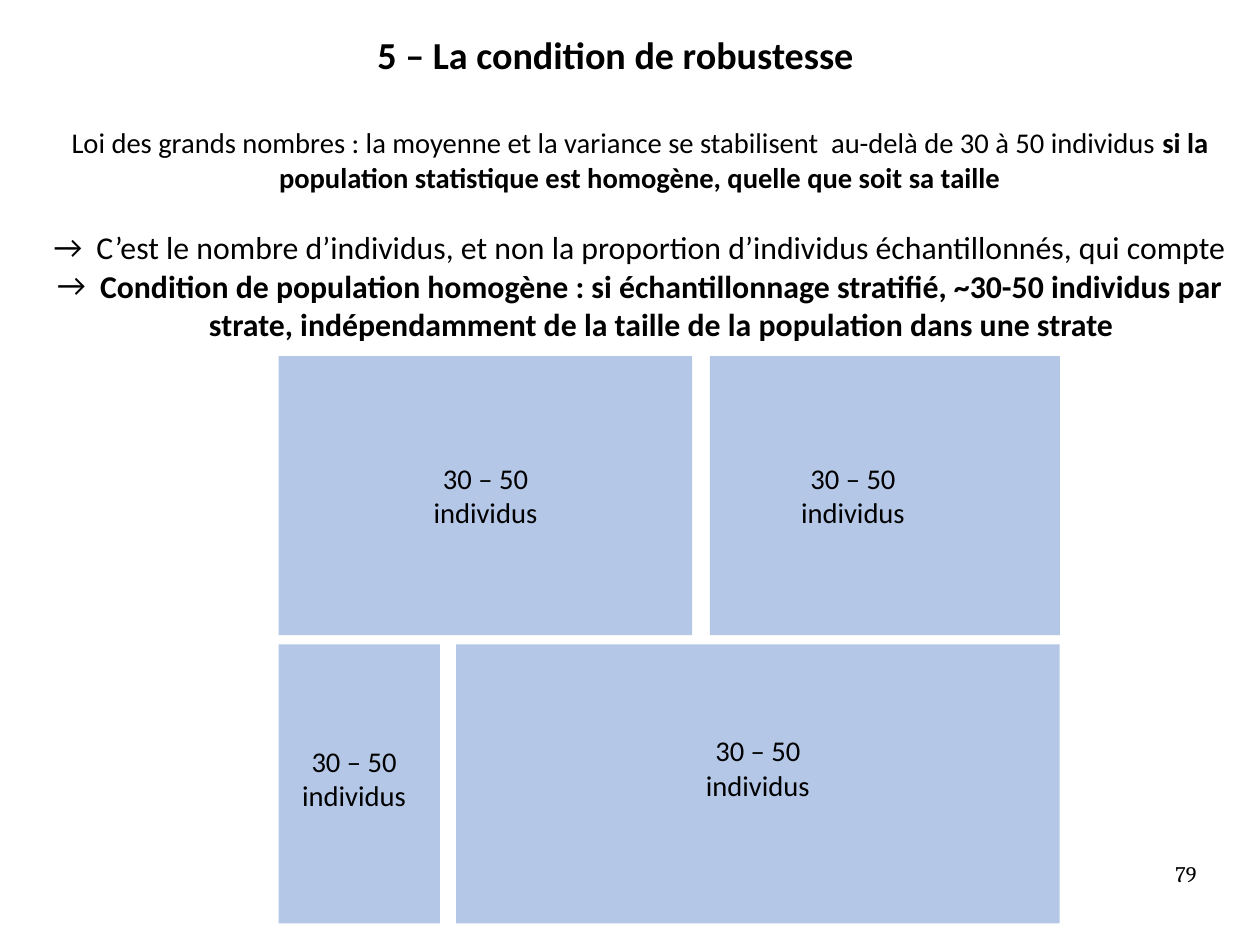
from dataclasses import dataclass

from lxml.etree import SubElement
from pptx import Presentation
from pptx.dml.color import RGBColor
from pptx.enum.shapes import MSO_SHAPE
from pptx.enum.text import PP_ALIGN
from pptx.oxml.ns import qn
from pptx.util import Pt


@dataclass(frozen=True)
class Theme:
    ink: RGBColor = RGBColor(0x00, 0x00, 0x00)
    stratum: RGBColor = RGBColor(0xB4, 0xC7, 0xE7)
    body_font: str = "Calibri"
    number_font: str = "Cambria"
    title_size: float = 24
    point_size: float = 20
    body_size: float = 18
    number_size: float = 14


THEME = Theme()

# Page of 28 by 21 centimetres, in points
POINTS_PER_CM = 72 / 2.54
PAGE_WIDTH, PAGE_HEIGHT = 28 * POINTS_PER_CM, 21 * POINTS_PER_CM

# Strata grid: two rows sharing the same left and right edges
GRID_LEFT, GRID_RIGHT, GRID_TOP = 175.5, 667.6, 224.4
ROW_HEIGHT, ROW_GAP = 175.7, 5.9
LABEL = "30 – 50 individus"
LABEL_WIDTH, LABEL_HEIGHT = 128.2, 51
# Each row: end of first stratum, start of second, (left, top) of both labels
ROWS = [
    (436.1, 447.1, (241.7, 286.6), (473.2, 286.6)),
    (277.2, 287.3, (158.9, 464.9), (413.3, 458.4)),
]


def add_box(page, left, top, width, height, margins=(7.2, 3.6)):
    box = page.shapes.add_textbox(Pt(left), Pt(top), Pt(width), Pt(height))
    frame = box.text_frame
    frame.word_wrap = True
    frame.margin_left = frame.margin_right = Pt(margins[0])
    frame.margin_top = frame.margin_bottom = Pt(margins[1])
    return frame


def add_text(para, text, size=THEME.body_size, bold=False,
             font=THEME.body_font, align=PP_ALIGN.CENTER):
    para.alignment = align
    span = para.add_run()
    span.text = text
    span.font.name = font
    span.font.size = Pt(size)
    span.font.bold = bold
    span.font.color.rgb = THEME.ink


def add_arrow_point(frame, text, bold=False, space_before=0):
    para = frame.add_paragraph()
    properties = para._p.get_or_add_pPr()
    properties.set("marL", str(Pt(27)))
    properties.set("indent", str(-Pt(27)))
    SubElement(properties, qn("a:buFont")).set("typeface", THEME.body_font)
    SubElement(properties, qn("a:buChar")).set("char", "→")
    para.space_before = Pt(space_before)
    add_text(para, text, size=THEME.point_size, bold=bold)


def add_stratum(page, left, right, top):
    stratum = page.shapes.add_shape(
        MSO_SHAPE.RECTANGLE, Pt(left), Pt(top), Pt(right - left), Pt(ROW_HEIGHT))
    stratum.shadow.inherit = False
    stratum.fill.solid()
    stratum.fill.fore_color.rgb = THEME.stratum
    stratum.line.fill.background()


def main():
    deck = Presentation()
    deck.slide_width, deck.slide_height = Pt(PAGE_WIDTH), Pt(PAGE_HEIGHT)
    page = deck.slides.add_slide(deck.slide_layouts[6])

    # Title
    title = add_box(page, 60.5, 16.3, 654.5, 36)
    add_text(title.paragraphs[0], "5 – La condition de robustesse",
             size=THEME.title_size, bold=True)

    # Law of large numbers and its consequences
    body = add_box(page, 12.6, 75.4, 781, 145.4)
    law = body.paragraphs[0]
    add_text(law, "Loi des grands nombres : la moyenne et la variance se "
                  "stabilisent  au-delà de 30 à 50 individus ")
    add_text(law, "si la population statistique est homogène, "
                  "quelle que soit sa taille", bold=True)
    add_arrow_point(body, "C’est le nombre d’individus, et non la proportion "
                          "d’individus échantillonnés, qui compte", space_before=21.6)
    add_arrow_point(body, "Condition de population homogène : si échantillonnage "
                          "stratifié, ~30-50 individus par strate, indépendamment "
                          "de la taille de la population dans une strate", bold=True)

    # Strata with their sample sizes
    for index, (first_end, second_start, *label_places) in enumerate(ROWS):
        top = GRID_TOP + index * (ROW_HEIGHT + ROW_GAP)
        add_stratum(page, GRID_LEFT, first_end, top)
        add_stratum(page, second_start, GRID_RIGHT, top)
        for label_left, label_top in label_places:
            label = add_box(page, label_left, label_top, LABEL_WIDTH, LABEL_HEIGHT)
            add_text(label.paragraphs[0], LABEL)

    # Page number
    number = add_box(page, 568.8, 542.2, 185, 41, margins=(0, 0))
    add_text(number.paragraphs[0], "79", size=THEME.number_size,
             font=THEME.number_font, align=PP_ALIGN.RIGHT)

    deck.save("out.pptx")


if __name__ == "__main__":
    main()
